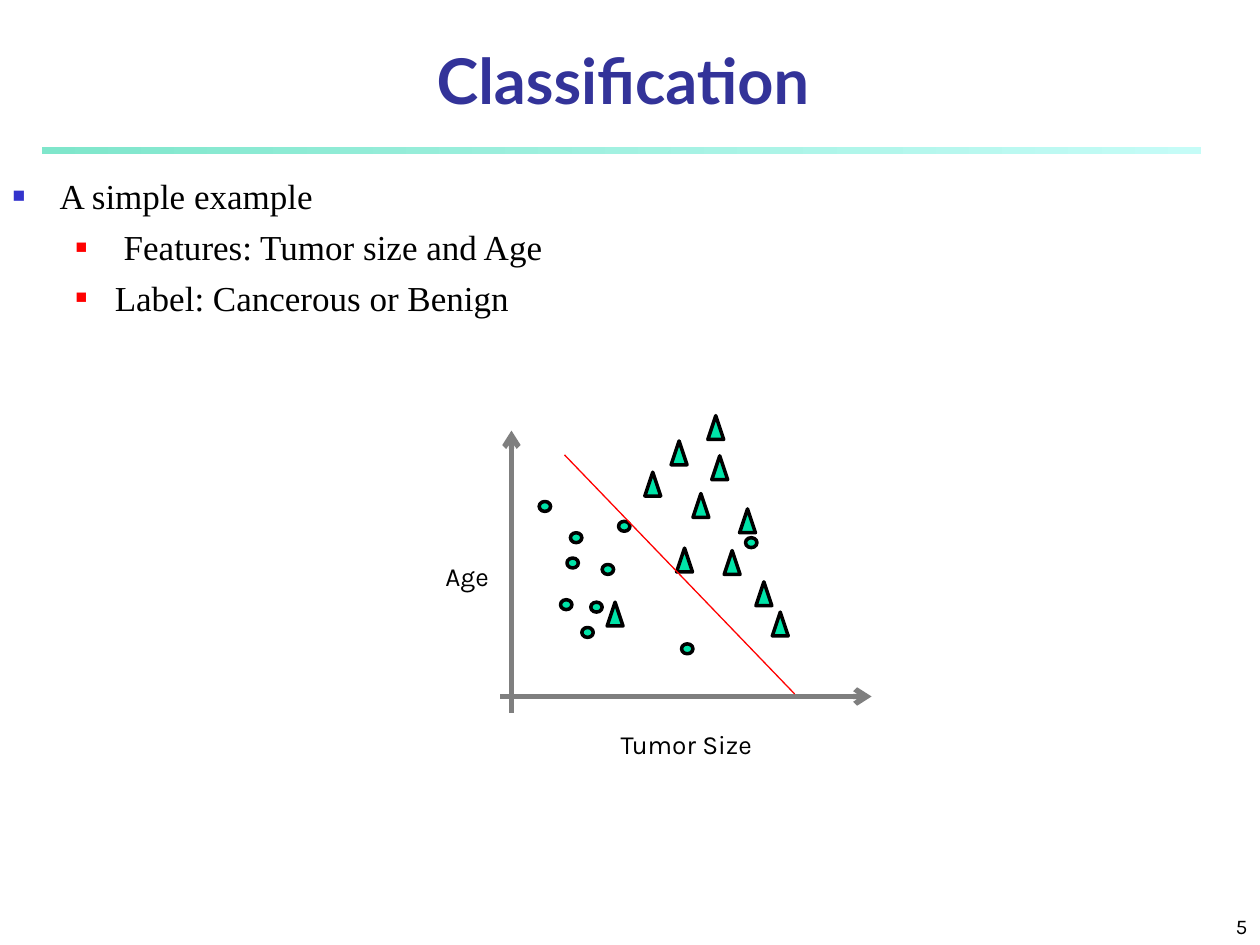
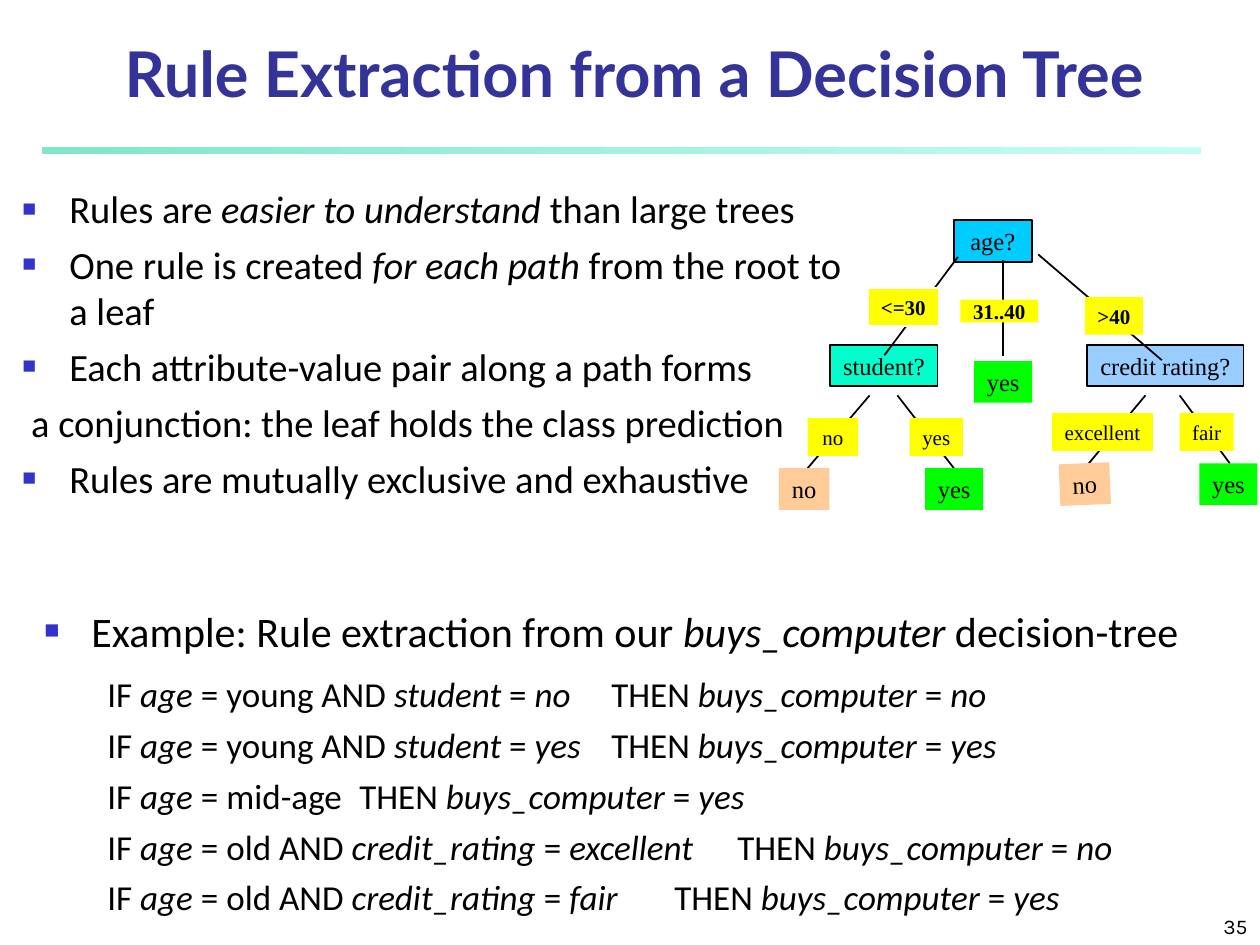
from lxml import etree
from pptx import Presentation
from pptx.dml.color import RGBColor
from pptx.enum import shapes as es, text as et
from pptx.oxml import ns
from pptx.util import Cm, Pt

NAVY = RGBColor(0x33, 0x33, 0x99)
BULLET_BLUE = RGBColor(0x33, 0x33, 0xCC)
RED = RGBColor(0xFF, 0, 0)
BLACK = RGBColor(0, 0, 0)
WHITE = RGBColor(0xFF, 0xFF, 0xFF)
GREY = RGBColor(0x7F, 0x7F, 0x7F)
BAND_LEFT = RGBColor(0x7F, 0xE6, 0xCB)
BAND_RIGHT = RGBColor(0xC5, 0xFC, 0xF7)
MARKER = RGBColor(0, 0xE4, 0xA8)
SKY = RGBColor(0, 0xCC, 0xFF)
AQUA = RGBColor(0, 0xFF, 0xCC)
PALE_BLUE = RGBColor(0x99, 0xCC, 0xFF)
YELLOW = RGBColor(0xFF, 0xFF, 0)
GREEN = RGBColor(0, 0xFF, 0)
PEACH = RGBColor(0xFF, 0xCC, 0x99)

SERIF, SANS, LABEL, HEAD = "Times New Roman", "Calibri", "Karla", "Lato"
LEFT, CENTER, RIGHT = et.PP_ALIGN.LEFT, et.PP_ALIGN.CENTER, et.PP_ALIGN.RIGHT
TOP, MIDDLE, BOTTOM = et.MSO_ANCHOR.TOP, et.MSO_ANCHOR.MIDDLE, et.MSO_ANCHOR.BOTTOM


def write(p, text, size=14, font=SERIF, color=BLACK, bold=False, align=LEFT, before=0):
    """Runs between asterisks are italic."""
    p.alignment = align
    p.space_before = Pt(before)
    for i, part in enumerate(text.split("*")):
        if part:
            r = p.add_run()
            r.text = part
            f = r.font
            f.size, f.name, f.bold, f.italic = Pt(size), font, bold, i % 2 == 1
            f.color.rgb = color


def sub(parent, tag, **attrs):
    el = etree.SubElement(parent, ns.qn(tag))
    for key, value in attrs.items():
        el.set(key, str(value))
    return el


def indent(p, margin, hanging=0, bullet=None, percent=60, tab=None):
    pPr = p._p.get_or_add_pPr()
    pPr.set("marL", str(Cm(margin)))
    pPr.set("indent", str(Cm(-hanging)))
    if bullet is None:
        sub(pPr, "a:buNone")
    else:
        sub(sub(pPr, "a:buClr"), "a:srgbClr", val=bullet)
        sub(pPr, "a:buSzPct", val=percent * 1000)
        sub(pPr, "a:buFont", typeface=SERIF)
        sub(pPr, "a:buChar", char="■")
    if tab:
        sub(sub(pPr, "a:tabLst"), "a:tab", pos=Cm(tab), algn="l")


def frame(sp, anchor=TOP, wrap=True):
    tf = sp.text_frame
    tf.auto_size = et.MSO_AUTO_SIZE.NONE
    tf.word_wrap, tf.vertical_anchor = wrap, anchor
    return tf


def move(sp, x, y, w, h):
    sp.left, sp.top, sp.width, sp.height = Cm(x), Cm(y), Cm(w), Cm(h)
    return sp


def text_box(s, box, text="", anchor=TOP, wrap=True, **fmt):
    tf = frame(s.shapes.add_textbox(*map(Cm, box)), anchor, wrap)
    if text:
        write(tf.paragraphs[0], text, **fmt)
    return tf


def paragraphs(tf, count):
    return [tf.paragraphs[0]] + [tf.add_paragraph() for _ in range(count - 1)]


def shape(s, kind, box, fill=None, line=None, width=1):
    sp = s.shapes.add_shape(kind, *map(Cm, box))
    sp.shadow.inherit = False
    if fill is not None:
        sp.fill.solid()
        sp.fill.fore_color.rgb = fill
    if line is None:
        sp.line.fill.background()
    else:
        sp.line.color.rgb, sp.line.width = line, Pt(width)
    return sp


def line(s, x1, y1, x2, y2, color=BLACK, width=1, arrow=False):
    c = s.shapes.add_connector(es.MSO_CONNECTOR.STRAIGHT, *map(Cm, (x1, y1, x2, y2)))
    c.line.color.rgb, c.line.width = color, Pt(width)
    if arrow:
        sub(c.line._get_or_add_ln(), "a:tailEnd", type="arrow")
    sub(c._element.spPr, "a:effectLst")


def base_slide(prs, title, title_box, number):
    s = prs.slides.add_slide(prs.slide_layouts[1])
    band = shape(s, es.MSO_SHAPE.RECTANGLE, (0.84, 2.97, 23.37, 0.13))
    band.fill.gradient()
    band.fill.gradient_angle = 0
    for stop, color in zip(band.fill.gradient_stops, (BAND_LEFT, BAND_RIGHT)):
        stop.color.rgb = color
    tf = frame(move(s.shapes.title, *title_box), BOTTOM)
    write(tf.paragraphs[0], title, size=36, font=HEAD, color=NAVY, bold=True, align=CENTER)
    text_box(s, (20.12, 17.98, 5.28, 1.07), number, BOTTOM, size=12, font=LABEL, align=RIGHT)
    return s


def feature_list(s, box):
    tf = frame(move(s.placeholders[1], *box))
    rows = [
        ("A simple example", 0, 0.95, 0.95, BULLET_BLUE, 60),
        ("Features: Tumor size and Age", 1, 2.24, 0.97, RED, 55),
        ("Label: Cancerous or Benign", 1, 2.06, 0.79, RED, 55),
    ]
    for i, (p, row) in enumerate(zip(paragraphs(tf, len(rows)), rows)):
        text, p.level, margin, hanging, color, percent = row
        indent(p, margin, hanging, color, percent)
        write(p, text, size=20, before=5 if i else 0)


def scatter(s, x, y):
    line(s, x + 0.23, y + 5.99, x + 0.23, y + 0.3, GREY, 3, arrow=True)
    line(s, x, y + 5.66, x + 7.49, y + 5.66, GREY, 3, arrow=True)
    for text, dx, dy, w in (("Tumor Size", 2.18, 6.17, 3.28), ("Age", -1.35, 2.79, 1.47)):
        text_box(s, (x + dx, y + dy, w, 0.89), text, wrap=False, size=15, font=LABEL)
    benign = [(0.79, 1.73), (1.65, 4.27), (1.42, 2.36), (1.35, 2.87), (2.06, 3),
              (2.39, 2.13), (1.22, 3.71), (1.83, 3.76), (4.95, 2.46), (3.66, 4.6)]
    cancerous = [(3.45, 0.51), (4.27, 0.81), (2.92, 1.14), (2.16, 3.76), (3.56, 2.67),
                 (3.89, 1.57), (4.19, 0), (4.52, 2.72), (4.83, 1.88), (5.16, 3.35),
                 (5.49, 3.96)]
    for kind, points, w, h in ((es.MSO_SHAPE.OVAL, benign, 0.23, 0.2),
                               (es.MSO_SHAPE.ISOSCELES_TRIANGLE, cancerous, 0.32, 0.48)):
        for dx, dy in points:
            shape(s, kind, (x + dx, y + dy, w, h), MARKER, BLACK, 2)
    line(s, x + 1.3, y + 0.79, x + 5.94, y + 5.61, RED, 0.75)


def node(s, box, text, fill, outline=None, **fmt):
    sp = shape(s, es.MSO_SHAPE.RECTANGLE, box, fill, outline)
    write(frame(sp, MIDDLE, wrap=False).paragraphs[0], text, align=CENTER, **fmt)
    return sp


def decision_tree(s, x, y):
    questions = [("age?", 3.53, 0, 1.57, SKY), ("student?", 1.04, 2.51, 2.16, AQUA),
                 ("credit rating?", 6.22, 2.51, 3.15, PALE_BLUE)]
    branches = [(3.61, 0.74, 2.13, 2.72), (4.52, 0.81, 4.52, 2.74), (5.23, 0.69, 7.72, 2.82),
                (1.83, 3.53, 0.58, 5), (2.39, 3.53, 3.53, 5),
                (7.39, 3.53, 6.25, 4.9), (8.08, 3.53, 9.09, 4.9)]
    leaves = [("no", 0, 5, 0), ("yes", 2.95, 5, 0), ("yes", 8.48, 4.9, 0),
              ("yes", 3.94, 2.84, 0), ("no", 5.66, 4.9, -2.4)]
    labels = [("<=30", 1.8, 1.37, 1.42, 0.76, True), ("31..40", 3.66, 1.6, 1.57, 0.46, True),
              (">40", 6.17, 1.55, 1.17, 0.76, True), ("fair", 8.08, 3.89, 1.09, 0.76, False),
              ("excellent", 5.51, 3.89, 2.03, 0.76, False),
              ("yes", 2.64, 3.99, 1.07, 0.76, False), ("no", 0.58, 3.99, 1.02, 0.76, False)]
    for text, dx, dy, w, fill in questions:
        node(s, (x + dx, y + dy, w, 0.84), text, fill, BLACK)
    for x1, y1, x2, y2 in branches:
        line(s, x + x1, y + y1, x + x2, y + y2)
    for text, dx, dy, turn in leaves:
        w, fill = (1.17, GREEN) if text == "yes" else (1.02, PEACH)
        node(s, (x + dx, y + dy, w, 0.84), text, fill).rotation = turn
    for text, dx, dy, w, h, bold in labels:
        outline = WHITE if text == "<=30" else None
        node(s, (x + dx, y + dy, w, h), text, YELLOW, outline, size=12, bold=bold)


def rule_notes(s, box):
    rows = ["Rules are *easier to understand* than large trees",
            "One rule is created *for each path* from the root to a leaf",
            "Each attribute-value pair along a path forms",
            "a conjunction: the leaf holds the class prediction",
            "Rules are mutually exclusive and exhaustive"]
    for i, (p, text) in enumerate(zip(paragraphs(text_box(s, box), len(rows)), rows)):
        if text.startswith("a conjunction"):
            indent(p, 0.18)
        else:
            indent(p, 0.95, 0.95, BULLET_BLUE)
        write(p, text, size=22, font=SANS, before=5.5 if i else 0)


def extracted_rules(s, box):
    rules = [("young AND *student* = *no*", "no", 12.05),
             ("young AND *student* = *yes*", "yes", 12.1),
             ("mid-age", "yes", 11.6),
             ("old AND *credit_rating* = *excellent*", "no", 12.13),
             ("old AND *credit_rating* = *fair*", "yes", 12.22)]
    tf = frame(move(s.placeholders[1], *box))
    heading, *rows = paragraphs(tf, len(rules) + 1)
    indent(heading, 0.95, 0.95, BULLET_BLUE)
    write(heading, "Example: Rule extraction from our *buys_computer* decision-tree",
          size=24, font=SANS)
    for i, (p, (condition, result, tab)) in enumerate(zip(rows, rules)):
        p.level = 1
        indent(p, 1.27, tab=tab)
        write(p, f"IF *age* = {condition}\tTHEN *buys_computer* = *{result}*",
              size=20, font=SANS, before=5 if i else 10)


def main():
    prs = Presentation()
    prs.slide_width, prs.slide_height = Cm(25.4), Cm(19.05)

    s = base_slide(prs, "Classification", (1.7, 1.07, 21.72, 1.42), "5")
    feature_list(s, (0, 3.4, 24.56, 10.36))
    scatter(s, 10.08, 8.38)

    s = base_slide(prs, "Rule Extraction from a Decision Tree", (0.58, 0.64, 24.41, 1.7), "35")
    decision_tree(s, 15.7, 4.44)
    extracted_rules(s, (0.64, 12.07, 24.33, 6.55))
    rule_notes(s, (0.2, 3.61, 17.35, 8.89))

    prs.save("out.pptx")


if __name__ == "__main__":
    main()
